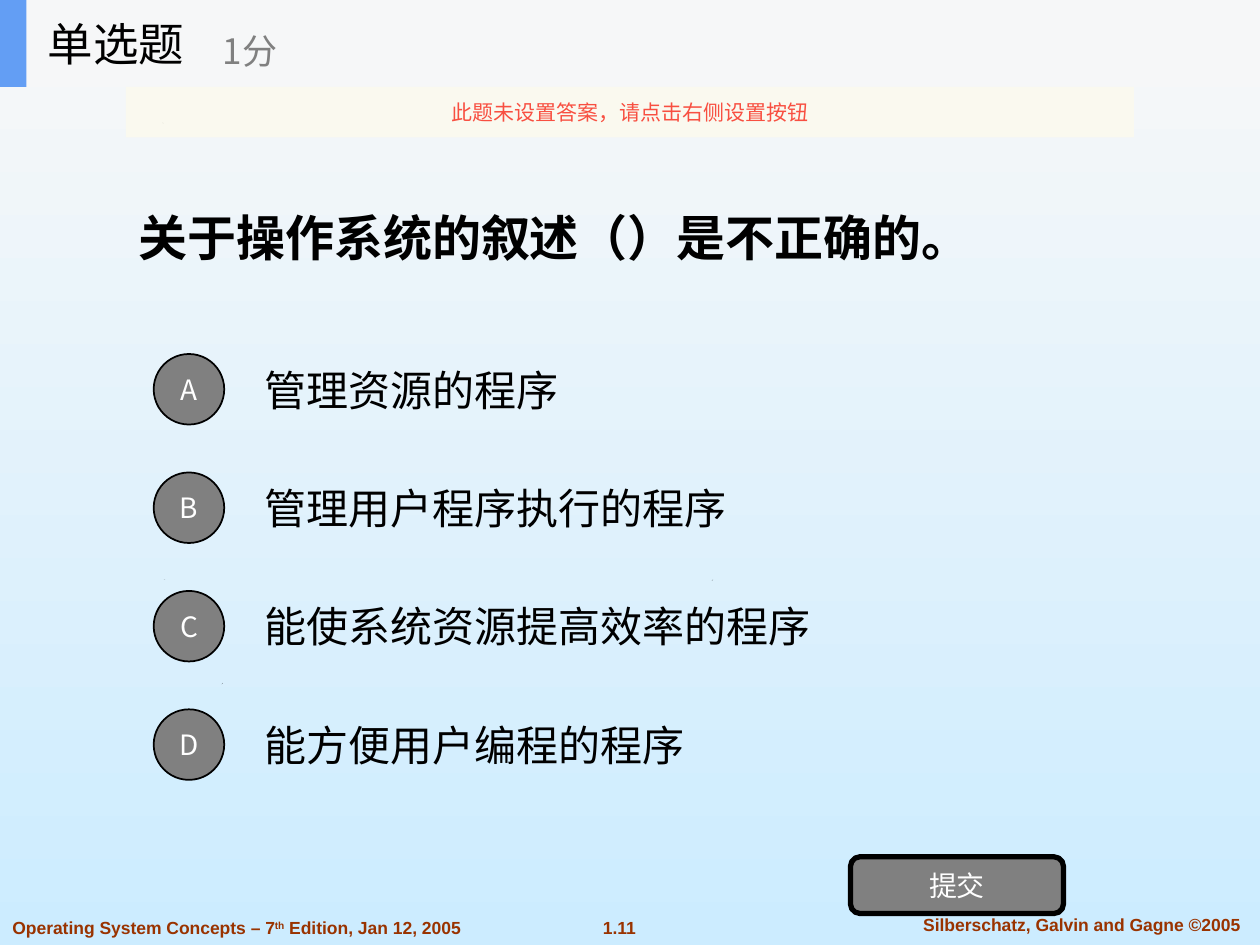
from dataclasses import dataclass

import pptx
import pptx.dml.color
import pptx.enum.shapes
import pptx.enum.text
import pptx.oxml
import pptx.oxml.ns
import pptx.util
from lxml import etree

Inches = pptx.util.Inches
RGBColor = pptx.dml.color.RGBColor
Align = pptx.enum.text.PP_ALIGN
Anchor = pptx.enum.text.MSO_ANCHOR
ShapeType = pptx.enum.shapes.MSO_SHAPE

BLACK = RGBColor(0x00, 0x00, 0x00)
WHITE = RGBColor(0xFF, 0xFF, 0xFF)
GRAY = RGBColor(0x80, 0x80, 0x80)
BROWN = RGBColor(0x99, 0x33, 0x00)
RED = RGBColor(0xF8, 0x4F, 0x41)
CREAM = RGBColor(0xFB, 0xFA, 0xEF)
BLUE = RGBColor(0x63, 0x9E, 0xF4)
HEADER_GRAY = RGBColor(0xF6, 0xF7, 0xF8)
SKY_TOP = RGBColor(0xF8, 0xF8, 0xF8)
SKY_BOTTOM = RGBColor(0xCC, 0xEC, 0xFF)

CJK_FONT = "Noto Sans CJK SC"


@dataclass(frozen=True)
class Box:
    left: float
    top: float
    width: float
    height: float

    def lengths(self) -> tuple:
        return tuple(Inches(v) for v in (self.left, self.top, self.width, self.height))


@dataclass(frozen=True)
class Style:
    size: int
    color: RGBColor
    font: str = CJK_FONT
    bold: bool = False
    align: Align = Align.LEFT


QUESTION = Style(28, BLACK, "Arial", True)
OPTION = Style(24, BLACK, "Arial")
BUTTON = Style(16, WHITE, align=Align.CENTER)
HEADING = Style(26, BLACK)
SCORE = Style(20, GRAY)
WARNING = Style(12, RED, align=Align.CENTER)
FOOTER = Style(10, BROWN, "Arial", True)
FOOTER_CENTERED = Style(10, BROWN, "Arial", True, Align.CENTER)

OPTIONS = ("管理资源的程序", "管理用户程序执行的程序",
           "能使系统资源提高效率的程序", "能方便用户编程的程序")
OPTION_TOP, OPTION_STEP = 2.74, 0.94

# Tiny marks, as outline points in hundredths of an inch
SPECKS = (
    ((176, 543), (177, 542), (176, 543)),
    ((130, 460), (131, 460), (130, 460)),
    ((565, 461), (566, 460), (565, 461)),
    ((129, 98), (129, 97), (130, 98)),
)


def format_run(run, style: Style) -> None:
    run.font.size = pptx.util.Pt(style.size)
    run.font.bold = style.bold
    run.font.color.rgb = style.color
    run.font.name = style.font
    east_asian = etree.SubElement(run._r.get_or_add_rPr(), pptx.oxml.ns.qn("a:ea"))
    east_asian.set("typeface", CJK_FONT)


def write_text(shape, text: str, style: Style) -> None:
    text_frame = shape.text_frame
    text_frame.text = text
    text_frame.word_wrap = True
    text_frame.auto_size = pptx.enum.text.MSO_AUTO_SIZE.NONE
    text_frame.vertical_anchor = Anchor.MIDDLE
    paragraph = text_frame.paragraphs[0]
    paragraph.alignment = style.align
    for run in paragraph.runs:
        format_run(run, style)


def add_text(slide, box: Box, text: str, style: Style):
    shape = slide.shapes.add_textbox(*box.lengths())
    write_text(shape, text, style)
    return shape


def add_shape(slide, kind: ShapeType, box: Box, fill: RGBColor, line_width: float = 0):
    shape = slide.shapes.add_shape(kind, *box.lengths())
    shape.shadow.inherit = False
    shape.fill.solid()
    shape.fill.fore_color.rgb = fill
    if line_width:
        shape.line.color.rgb = BLACK
        shape.line.width = pptx.util.Pt(line_width)
    else:
        shape.line.fill.background()
    return shape


def add_speck(slide, points: tuple) -> None:
    builder = slide.shapes.build_freeform(*points[0], scale=Inches(0.01))
    builder.add_line_segments(points[1:], close=True)
    speck = builder.convert_to_shape()
    speck.shadow.inherit = False
    speck.fill.solid()
    speck.fill.fore_color.rgb = BLACK
    speck.line.fill.background()


def set_background(slide) -> None:
    fill = slide.background.fill
    fill.gradient()
    fill.gradient_angle = 270
    for stop, color in zip(fill.gradient_stops, (SKY_TOP, SKY_BOTTOM)):
        stop.color.rgb = color


def add_footer(slide) -> None:
    add_text(slide, Box(4.67, 7.23, 0.49, 0.27), "1.11", FOOTER_CENTERED).text_frame.word_wrap = False
    add_text(slide, Box(7.1, 7.2, 2.97, 0.27),
             "Silberschatz, Galvin and Gagne ©2005", FOOTER_CENTERED)
    edition = add_text(slide, Box(0, 7.23, 3.77, 0.27),
                       "Operating System Concepts – 7", FOOTER)
    paragraph = edition.text_frame.paragraphs[0]
    for text, baseline in (("th", "30000"), (" Edition, Jan 12, 2005", "0")):
        run = paragraph.add_run()
        run.text = text
        format_run(run, FOOTER)
        run._r.get_or_add_rPr().set("baseline", baseline)


def add_options(slide) -> None:
    for index, (letter, text) in enumerate(zip("ABCD", OPTIONS)):
        top = OPTION_TOP + index * OPTION_STEP
        add_text(slide, Box(2, top, 7, 0.7), text, OPTION)
        circle = add_shape(slide, ShapeType.OVAL, Box(1.22, top + 0.07, 0.56, 0.56), GRAY, 1)
        write_text(circle, letter, BUTTON)


def add_header(slide) -> None:
    add_shape(slide, ShapeType.RECTANGLE, Box(0, 0, 10, 0.69), HEADER_GRAY)
    add_shape(slide, ShapeType.RECTANGLE, Box(0, 0, 0.21, 0.69), BLUE)
    add_text(slide, Box(0.28, 0, 2.08, 0.69), "单选题", HEADING)
    add_text(slide, Box(1.67, 0.12, 2.5, 0.56), "1分", SCORE)


def add_warning(slide) -> None:
    banner = add_shape(slide, ShapeType.RECTANGLE, Box(1, 0.69, 8, 0.4), CREAM)
    color = banner._element.spPr.find(".//" + pptx.oxml.ns.qn("a:srgbClr"))
    etree.SubElement(color, pptx.oxml.ns.qn("a:alpha")).set("val", "90000")
    write_text(banner, "此题未设置答案，请点击右侧设置按钮", WARNING)


def main() -> None:
    presentation = pptx.Presentation()
    presentation.slide_width, presentation.slide_height = Inches(10), Inches(7.5)
    slide = presentation.slides.add_slide(presentation.slide_layouts[5])

    # Background and footer
    set_background(slide)
    for points in SPECKS:
        add_speck(slide, points)
    add_footer(slide)

    # Question and answers
    title = slide.shapes.title
    title.left, title.top, title.width, title.height = Box(1, 1.39, 8, 0.98).lengths()
    write_text(title, "关于操作系统的叙述（）是不正确的。", QUESTION)
    add_options(slide)
    submit = add_shape(slide, ShapeType.ROUNDED_RECTANGLE, Box(6.75, 6.8, 1.69, 0.45), GRAY, 3)
    write_text(submit, "提交", BUTTON)

    # Header bar and warning
    add_header(slide)
    add_warning(slide)

    presentation.save("out.pptx")


if __name__ == "__main__":
    main()
